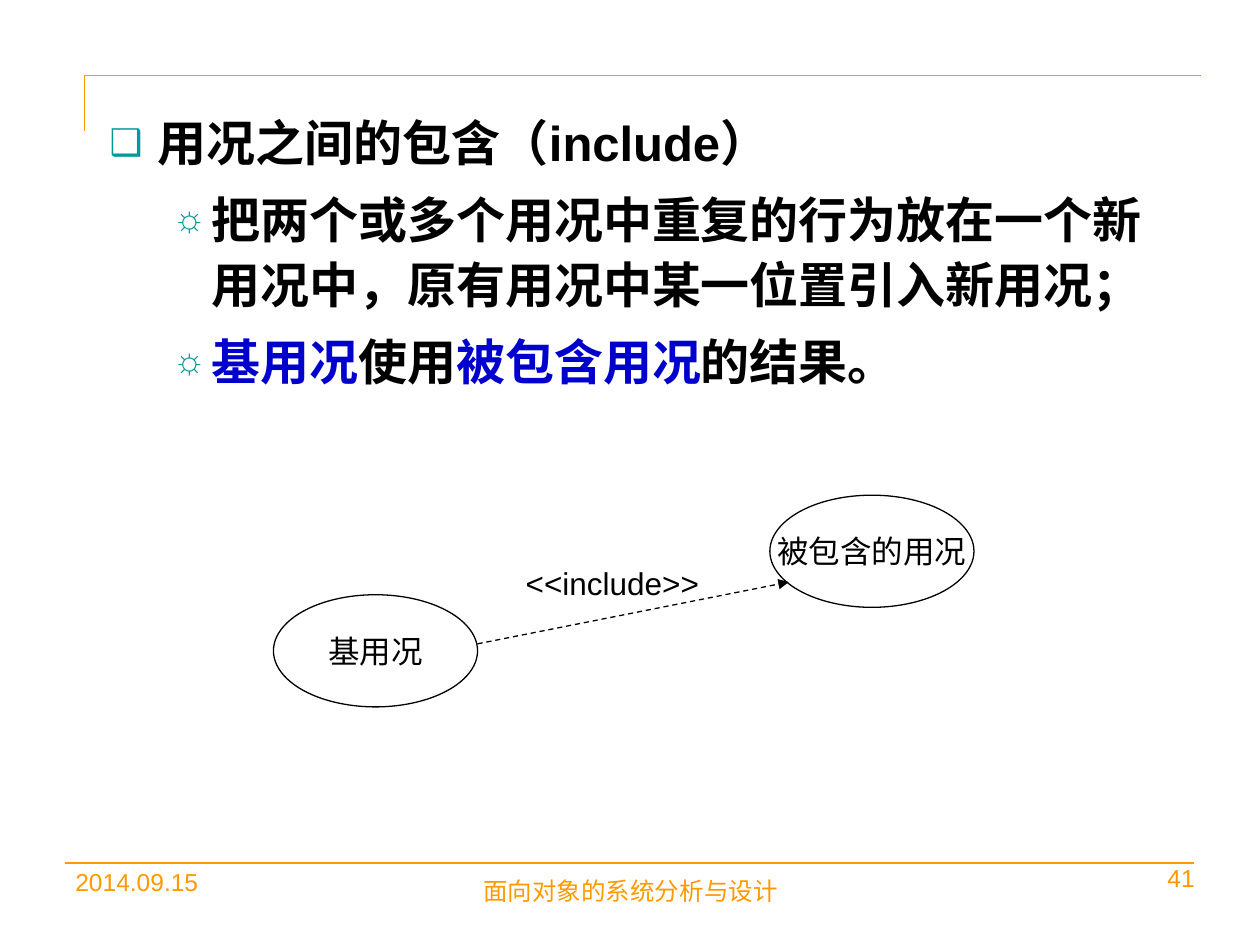
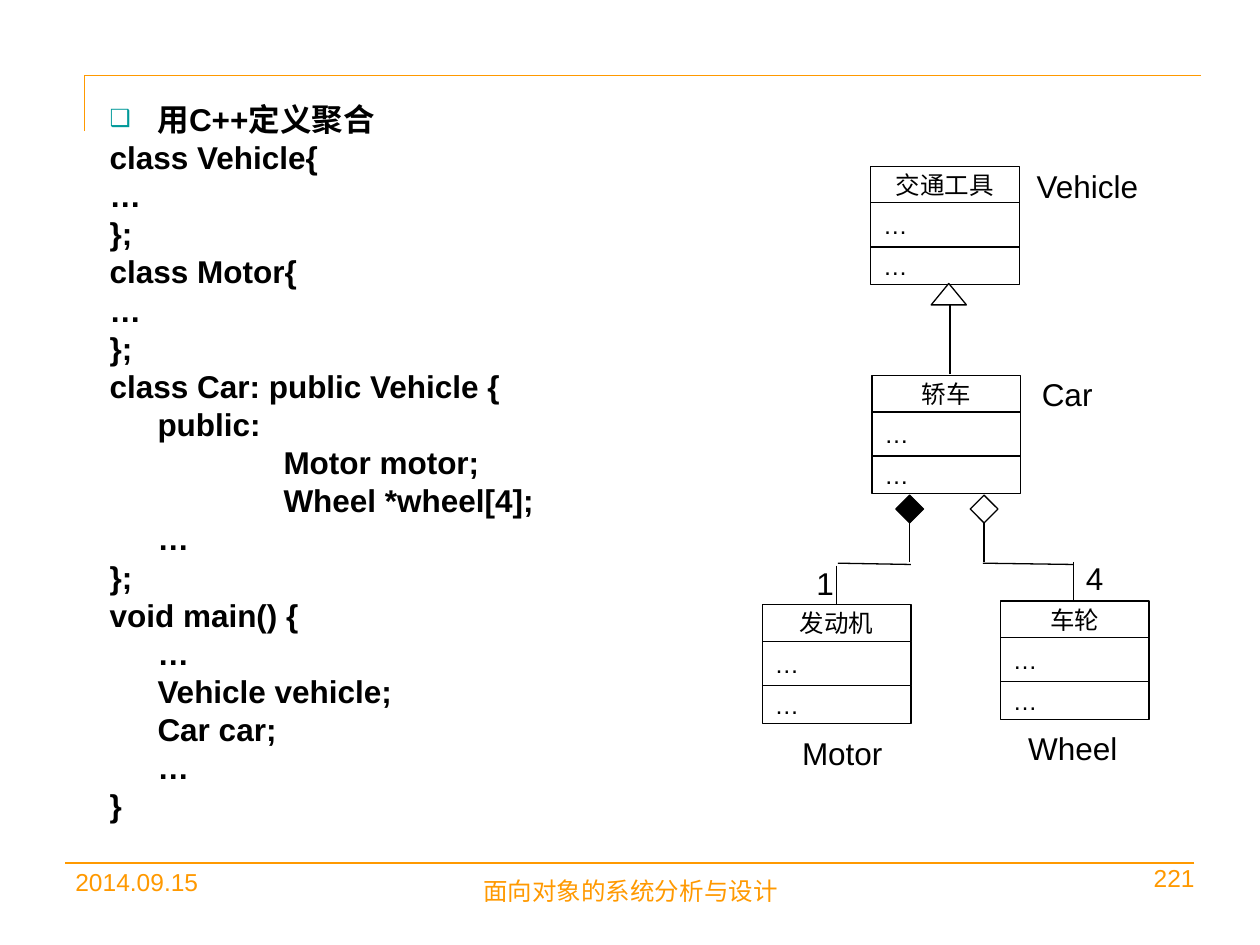
"""Build two slides on use case inclusion and on aggregation in C++."""
from lxml.etree import SubElement
from pptx import Presentation
from pptx.dml.color import RGBColor
from pptx.enum.dml import MSO_LINE
from pptx.enum.shapes import MSO_CONNECTOR, MSO_SHAPE
from pptx.enum.text import MSO_ANCHOR, MSO_AUTO_SIZE, PP_ALIGN
from pptx.oxml.ns import qn
from pptx.util import Inches, Pt

HUES = {"ink": "000000", "paper": "FFFFFF", "frame": "FF9900",
        "mark": "009999", "key": "0000CC"}
FACE = "Arial"
LEFT, MID, RIGHT = PP_ALIGN.LEFT, PP_ALIGN.CENTER, PP_ALIGN.RIGHT

RULES = [((9.53, 0.6), (0.67, 0.6)), ((0.67, 1.04), (0.67, 0.6)),
         ((9.48, 6.85), (0.52, 6.85))]
DATE, COURSE = "2014.09.15", "面向对象的系统分析与设计"
BODY = (0.77, 0.8, 8.73, 5.9)

POINTS = [
    ("❑", 0, [("用况之间的包含（include）", "ink")]),
    ("☼", 1, [("把两个或多个用况中重复的行为放在一个新用况中，"
               "原有用况中某一位置引入新用况；", "ink")]),
    ("☼", 1, [("基用况", "key"), ("使用", "ink"),
              ("被包含用况", "key"), ("的结果。", "ink")]),
]
CASES = [("基用况", 2.17, 4.72), ("被包含的用况", 6.11, 3.93)]
LINK = ((3.79, 5.11), (6.26, 4.62))

HEAD = "用C++定义聚合"
CODE = [
    (0, "class Vehicle{"), (0, "…"), (0, "};"),
    (0, "class Motor{"), (0, "…"), (0, "};"),
    (0, "class Car: public Vehicle {"), (1, "public:"),
    (2, "Motor motor;"), (2, "Wheel *wheel[4];"), (1, "…"), (0, "};"),
    (0, "void main() {"), (1, "…"), (1, "Vehicle vehicle;"),
    (1, "Car car;"), (1, "…"), (0, "}"),
]
STEPS = [0, 0.38, 1.38]

CLASSES = [("交通工具", 6.91, 1.32), ("发动机", 6.05, 4.8),
           ("车轮", 7.94, 4.77), ("轿车", 6.92, 2.98)]
ROWS = [0.29, 0.35, 0.3]
WIRES = [
    ((7.54, 2.97), (7.54, 2.41)),
    ((7.22, 4.15), (7.22, 4.46)), ((6.65, 4.47), (7.23, 4.48)),
    ((6.64, 4.49), (6.64, 4.79)),
    ((7.81, 4.15), (7.81, 4.46)), ((7.8, 4.47), (8.52, 4.48)),
    ((8.52, 4.46), (8.52, 4.77)),
]
ENDS = [(MSO_SHAPE.ISOSCELES_TRIANGLE, (7.39, 2.25, 0.28, 0.17), "paper"),
        (MSO_SHAPE.DIAMOND, (7.11, 3.93, 0.22, 0.22), "ink"),
        (MSO_SHAPE.DIAMOND, (7.7, 3.93, 0.22, 0.22), "paper")]
LABELS = [
    ("1", (6.38, 4.43, 0.69, 0.4), LEFT), ("4", (8.52, 4.39, 0.69, 0.4), LEFT),
    ("Vehicle", (8.13, 1.28, 1.17, 0.4), LEFT),
    ("Car", (8.17, 2.93, 1.17, 0.4), LEFT),
    ("Motor", (6.1, 5.78, 1.17, 0.4), MID),
    ("Wheel", (7.93, 5.74, 1.17, 0.4), MID),
]


def hue(name):
    return RGBColor.from_string(HUES[name])


def dress(item, **looks):
    for key, value in looks.items():
        setattr(item, key, value)


def place(box):
    return [Inches(n) for n in box]


def write(para, text, size, tint="ink", bold=False):
    run = para.add_run()
    run.text = text
    dress(run.font, name=FACE, size=Pt(size), bold=bold)
    run.font.color.rgb = hue(tint)


def label(slide, text, box, align=LEFT, size=18, tint="ink"):
    frame = slide.shapes.add_textbox(*place(box)).text_frame
    frame.word_wrap = True
    frame.paragraphs[0].alignment = align
    write(frame.paragraphs[0], text, size, tint)


def wire(slide, start, end, tint="ink", arrow=False):
    line = slide.shapes.add_connector(
        MSO_CONNECTOR.STRAIGHT, *place(start + end))
    line.line.color.rgb = hue(tint)
    line.line.width = Pt(0.75)
    if arrow:
        line.line.dash_style = MSO_LINE.DASH
        SubElement(line.line._get_or_add_ln(), qn("a:tailEnd"), type="triangle")
    SubElement(line.element.spPr, qn("a:effectLst"))


def shape(slide, kind, box, fill=None, text="", size=14, align=MID):
    form = slide.shapes.add_shape(kind, *place(box))
    form.shadow.inherit = False
    if fill:
        form.fill.solid()
        form.fill.fore_color.rgb = hue(fill)
    else:
        form.fill.background()
    form.line.color.rgb = hue("ink")
    form.line.width = Pt(0.75)
    if text:
        frame = form.text_frame
        dress(frame, word_wrap=False, vertical_anchor=MSO_ANCHOR.MIDDLE)
        frame.paragraphs[0].alignment = align
        write(frame.paragraphs[0], text, size)


def indent(para, left, hang=0, mark=None):
    props = para._p.get_or_add_pPr()
    props.set("marL", str(Inches(left)))
    props.set("indent", str(-Inches(hang)))
    if mark is None:
        SubElement(props, qn("a:buNone"))
        return
    tint = SubElement(props, qn("a:buClr"))
    SubElement(tint, qn("a:srgbClr"), val=HUES["mark"])
    SubElement(props, qn("a:buSzPct"), val="75000")
    SubElement(props, qn("a:buFont"), typeface=FACE)
    SubElement(props, qn("a:buChar"), char=mark)


def start(deck, number):
    slide = deck.slides.add_slide(deck.slide_layouts[1])
    title = slide.shapes.title.element
    title.getparent().remove(title)
    for ends in RULES:
        wire(slide, *ends, tint="frame")
    for text, box, align in [(number, (8.74, 6.8, 0.84, 0.34), RIGHT),
                             (DATE, (0.5, 6.83, 2.33, 0.52), LEFT),
                             (COURSE, (3.42, 6.9, 3.17, 0.45), MID)]:
        label(slide, text, box, align, 14, "frame")
    return slide


def fill_body(slide, lines, size, lead, gap):
    body = slide.placeholders[1]
    dress(body, **dict(zip(("left", "top", "width", "height"), place(BODY))))
    frame = body.text_frame
    dress(frame, auto_size=MSO_AUTO_SIZE.NONE, word_wrap=True,
          vertical_anchor=MSO_ANCHOR.TOP)
    for i, (level, inset, runs) in enumerate(lines):
        para = frame.add_paragraph() if i else frame.paragraphs[0]
        dress(para, level=level, alignment=LEFT, line_spacing=lead,
              space_before=Pt(gap if i else 0))
        indent(para, *inset)
        for text, tint in runs:
            write(para, text, size, tint, True)


def show_cases(deck):
    slide = start(deck, "41")
    hangs = [(0.38, 0.38), (0.81, 0.31)]
    lines = [(level, (*hangs[level], mark), runs)
             for mark, level, runs in POINTS]
    fill_body(slide, lines, 28, 1.1, 7)
    wire(slide, *LINK, arrow=True)
    for name, x, y in CASES:
        shape(slide, MSO_SHAPE.OVAL, (x, y, 1.62, 0.89), text=name, size=18)
    label(slide, "<<include>>", (3.8, 4.43, 2.12, 0.4), MID)


def show_code(deck):
    slide = start(deck, "221")
    lines = [(0, (0.38, 0.38, "❑"), [(HEAD, "ink")])]
    lines += [(0, (STEPS[depth],), [(text, "ink")]) for depth, text in CODE]
    fill_body(slide, lines, 18, 0.8, 4.5)
    for name, x, y in CLASSES:
        for i, (text, high) in enumerate(zip((name, "…", "…"), ROWS)):
            shape(slide, MSO_SHAPE.RECTANGLE, (x, y + sum(ROWS[:i]), 1.18, high),
                  text=text, align=LEFT if i else MID)
    for ends in WIRES:
        wire(slide, *ends)
    for kind, box, fill in ENDS:
        shape(slide, kind, box, fill)
    for text, box, align in LABELS:
        label(slide, text, box, align)


def main():
    deck = Presentation()
    dress(deck, slide_width=Inches(10), slide_height=Inches(7.5))
    show_cases(deck)
    show_code(deck)
    deck.save("out.pptx")


if __name__ == "__main__":
    main()
